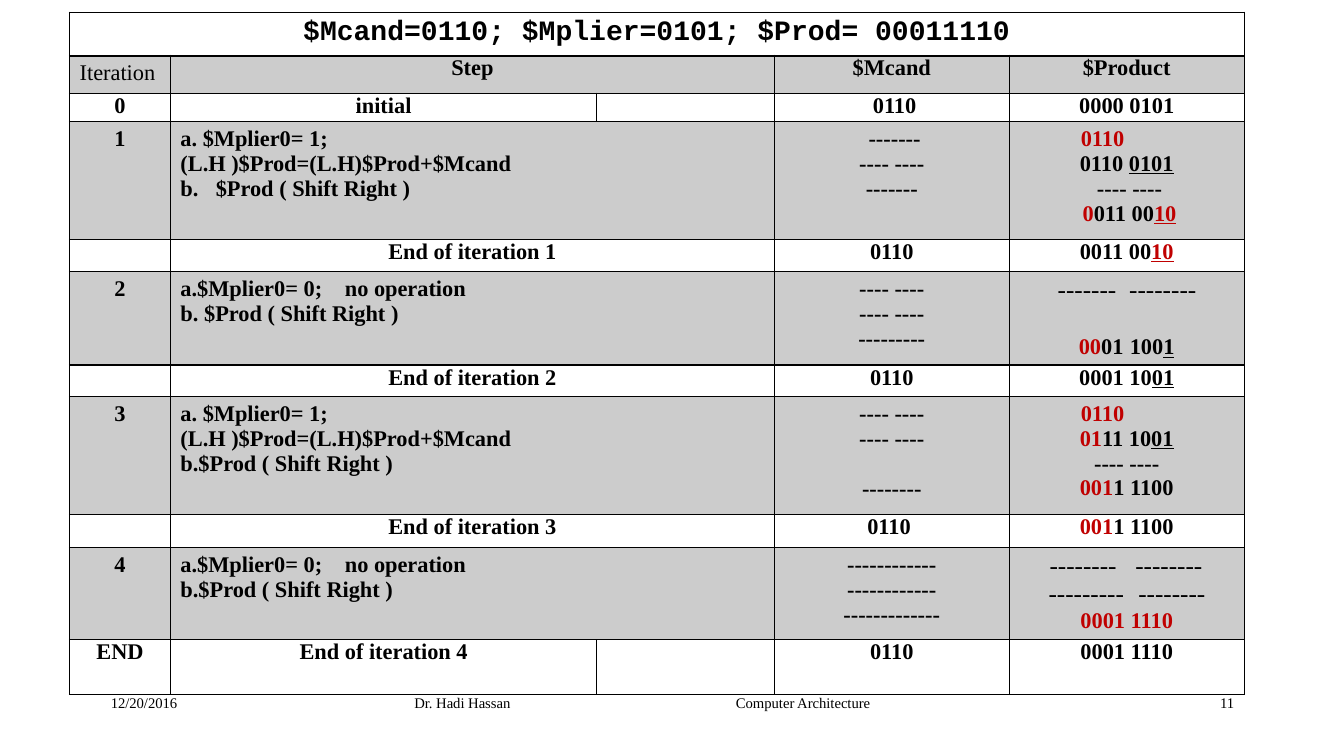
from lxml import etree
from pptx import Presentation
from pptx import util as u
from pptx.dml.color import RGBColor
from pptx.enum import text
from pptx.oxml import ns

COLORS = {"ink": "000000", "red": "C00000"}
FONT = "Times New Roman"
COLUMNS = [1, 4.23, 1.76, 2.33, 2.33]
HEIGHTS = [0.43, 0.37, 0.28, 1.17, 0.32, 0.9, 0.31, 1.17, 0.33, 0.9, 0.54]
WORK_ROWS = {3, 5, 7, 9}
SPLIT_ROWS = {2, 10}
TIGHT = {"margin_left": 0.07, "margin_right": 0.07, "margin_top": 0, "margin_bottom": 0}
WORK = {"margin_bottom": 0}
BASE = {"name": FONT, "size": u.Pt(16), "bold": True}
LARGE = {"size": u.Pt(18), "bold": False}
UNDER = {"underline": True}
RED = {"color": "red"}
ALIGN = {"l": text.PP_ALIGN.LEFT, "c": text.PP_ALIGN.CENTER, "r": text.PP_ALIGN.RIGHT}


def line(*runs, tabs=(), before=0, align="c"):
    """Describe a paragraph; a run is a string or a (string, format) pair."""
    return {"runs": runs, "tabs": tabs, "before": before,
            "align": "l" if tabs else align}


def step(content, *tabs):
    return line(content, tabs=tabs, align="l")


ADD_STEPS = [step("a. $Mplier0= 1;"), step("(L.H )$Prod=(L.H)$Prod+$Mcand")]
NO_OPERATION = step("a.$Mplier0= 0;\tno operation", 1.63)
SHIFT = step("b.$Prod ( Shift Right )")
ADDEND = line(("\t0110", RED), tabs=[0.61])
DASHES = "---- ----"
RESULT_3 = line(("001", RED), "1 1100")

# Iteration, step, $Mcand, $Product
ROWS = [
    [[line(("Iteration", {"bold": False}), align="l")], ["Step"], ["$Mcand"], ["$Product"]],
    [["0"], ["initial"], [" 0110"], ["0000 0101"]],
    [["1"],
     ADD_STEPS + [step("b.\t$Prod ( Shift Right )", 0.35)],
     [" -------", DASHES, "-------"],
     [ADDEND,
      line("0110 ", ("0101", UNDER)),
      " " + DASHES,
      line(" ", ("0", RED), "011 00", ("10", RED | UNDER))]],
    [[], ["End of iteration 1"], ["0110"], [line("0011 00", ("10", RED | UNDER))]],
    [["2"],
     [NO_OPERATION, step("b. $Prod ( Shift Right )")],
     [DASHES, DASHES, "---------"],
     [line(("\t-------\t--------", LARGE), tabs=[0.38, 1.09]),
      line(("00", RED), "01", (" ", LARGE), "100", ("1", UNDER), before=20)]],
    [[], ["End of iteration 2"], ["0110"], [line("0001 10", ("01", UNDER))]],
    [["3"],
     ADD_STEPS + [SHIFT],
     [DASHES, DASHES, line("--------", before=18)],
     [ADDEND,
      line(("01", RED), "11 10", ("01", UNDER)),
      DASHES,
      RESULT_3]],
    [[], ["End of iteration 3"], ["0110 "], [RESULT_3]],
    [["4"],
     [NO_OPERATION, SHIFT],
     ["-" * 12, "-" * 12, "-" * 13],
     [line(("\t--------\t--------", LARGE), tabs=[0.3, 1.15]),
      line(("\t---------\t--------", LARGE), tabs=[0.29, 1.18]),
      line(("0001 1110", RED))]],
    [["END"], ["End of iteration 4"], ["0110"], ["0001 1110"]],
]


def add_tabs(paragraph, stops):
    tab_list = etree.SubElement(paragraph._p.get_or_add_pPr(), ns.qn("a:tabLst"))
    for stop in stops:
        etree.SubElement(tab_list, ns.qn("a:tab"), pos=str(u.Inches(stop)), algn="l")


def write(frame, lines, base):
    for index, content in enumerate(lines):
        if isinstance(content, str):
            content = line(content)
        paragraph = frame.paragraphs[0] if index == 0 else frame.add_paragraph()
        paragraph.alignment = ALIGN[content["align"]]
        if content["before"]:
            paragraph.space_before = u.Pt(content["before"])
        if content["tabs"]:
            add_tabs(paragraph, content["tabs"])
        for piece in content["runs"]:
            words, changes = (piece, {}) if isinstance(piece, str) else piece
            run = paragraph.add_run()
            run.text = words
            values = {"color": "ink"} | base | changes
            run.font.color.rgb = RGBColor.from_string(COLORS[values.pop("color")])
            for key, value in values.items():
                setattr(run.font, key, value)
    if not lines:
        frame.paragraphs[0]._p.get_or_add_endParaRPr().set("sz", "1600")


def style_cell(cell, shaded, top=1, bottom=1):
    """Draw the four borders, then the translucent or empty fill."""
    properties = cell._tc.get_or_add_tcPr()
    for side, width in {"L": 1, "R": 1, "T": top, "B": bottom}.items():
        border = etree.SubElement(properties, ns.qn("a:ln" + side), w=str(u.Pt(width)))
        fill = etree.SubElement(border, ns.qn("a:solidFill"))
        etree.SubElement(fill, ns.qn("a:srgbClr"), val=COLORS["ink"])
    if shaded:
        cell.fill.solid()
        cell.fill.fore_color.rgb = RGBColor.from_string(COLORS["ink"])
        shade = properties.find(ns.qn("a:solidFill")).find(ns.qn("a:srgbClr"))
        etree.SubElement(shade, ns.qn("a:alpha"), val="20000")
    else:
        cell.fill.background()


def set_margins(cell, margins):
    for key, value in margins.items():
        setattr(cell, key, u.Inches(value))


def add_trace_table(slide):
    table = slide.shapes.add_table(
        len(HEIGHTS), len(COLUMNS), u.Inches(0.69), u.Inches(0.12),
        u.Inches(sum(COLUMNS)), u.Inches(sum(HEIGHTS))).table
    table.first_row = table.horz_banding = False
    for column, width in zip(table.columns, COLUMNS):
        column.width = u.Inches(width)
    for row, height in zip(table.rows, HEIGHTS):
        row.height = u.Inches(height)

    for r in range(len(HEIGHTS)):
        for c in range(len(COLUMNS)):
            cell = table.cell(r, c)
            style_cell(cell, r == 1 or r in WORK_ROWS,
                       top=2 if r == 1 else 1, bottom=2 if r == 0 else 1)
            if r in WORK_ROWS:
                set_margins(cell, WORK)
            elif r > 0 and (r, c) != (1, 0):
                set_margins(cell, TIGHT)

    table.cell(0, 0).merge(table.cell(0, 4))
    write(table.cell(0, 0).text_frame, ["$Mcand=0110; $Mplier=0101; $Prod= 00011110"],
          {"name": "Courier New", "size": u.Pt(20), "bold": True})
    for r, (iteration, steps, mcand, product) in enumerate(ROWS, start=1):
        if r not in SPLIT_ROWS:
            table.cell(r, 1).merge(table.cell(r, 2))
        for c, lines in enumerate([iteration, steps, [], mcand, product]):
            write(table.cell(r, c).text_frame, lines, BASE)


def add_footer(slide, left, width, height, content, indent=0.1):
    box = slide.shapes.add_textbox(
        u.Inches(left), u.Inches(6.83), u.Inches(width), u.Inches(height))
    box.text_frame.word_wrap = True
    box.text_frame.margin_left = u.Inches(indent)
    write(box.text_frame, [content], {"name": FONT, "size": u.Pt(10.5)})


def main():
    deck = Presentation()
    deck.slide_width, deck.slide_height = u.Inches(13.33), u.Inches(7.5)
    slide = deck.slides.add_slide(deck.slide_layouts[6])
    add_footer(slide, 1, 2.78, 0.5, line("12/20/2016", align="l"))
    add_footer(slide, 3.48, 5.83, 0.38,
               line("Dr. Hadi Hassan\tComputer Architecture", tabs=[3.19]), indent=0.63)
    add_footer(slide, 9.56, 2.78, 0.5, line("11", align="r"))
    add_trace_table(slide)
    deck.save("out.pptx")


if __name__ == "__main__":
    main()
